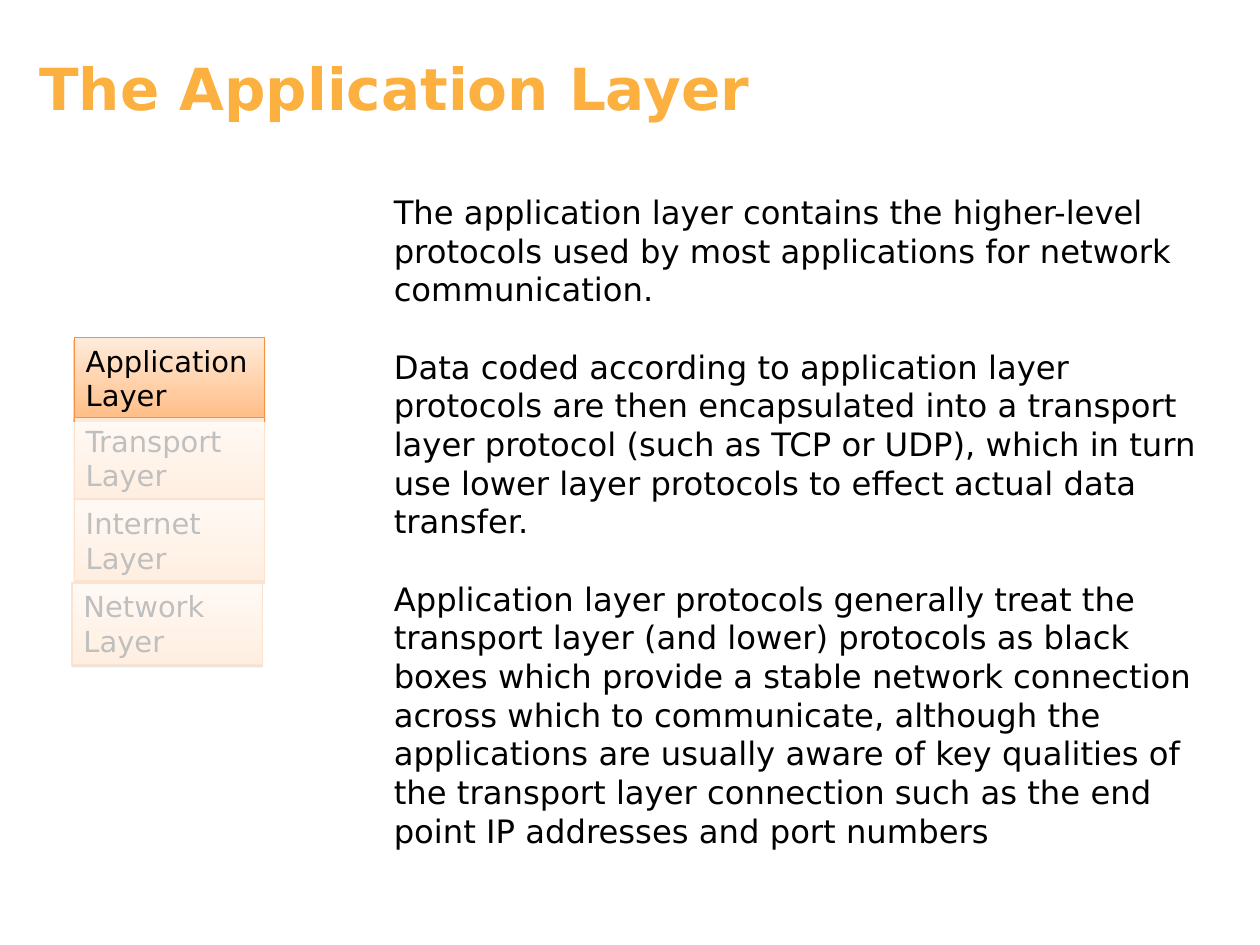
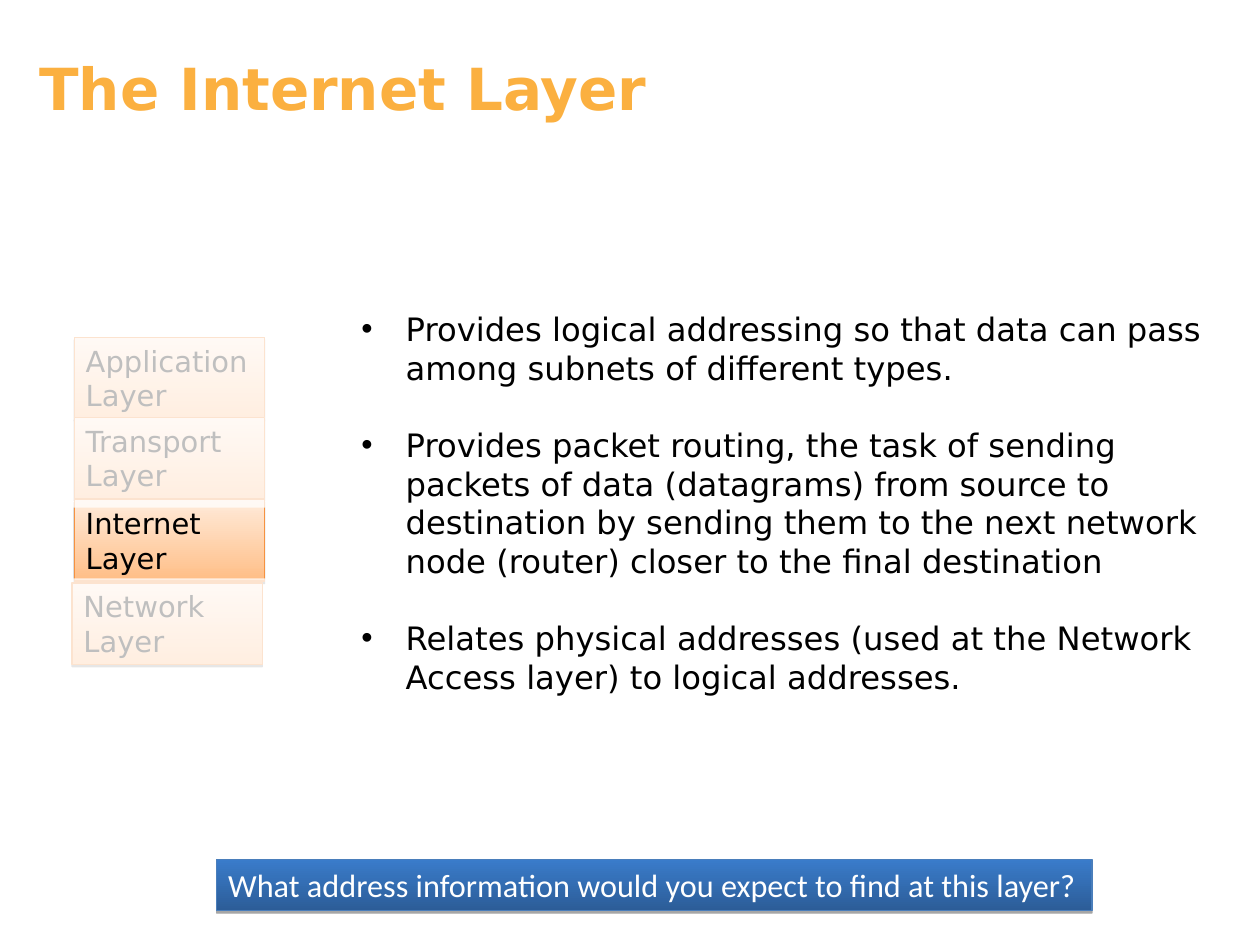
from lxml import etree
from pptx import Presentation
from pptx.dml.color import RGBColor
from pptx.enum.shapes import MSO_SHAPE as Shape
from pptx.enum.text import MSO_ANCHOR as Anchor, MSO_AUTO_SIZE as AutoSize, PP_ALIGN as Align
from pptx.oxml.ns import qn
from pptx.util import Cm, Pt

SANS = "DejaVu Sans"
TITLE_FONT = dict(name=SANS, size=Pt(36), bold=True, color="FBB040")
BODY_FONT = dict(name=SANS, size=Pt(20), color="000000")
LAYER_FONT = dict(name=SANS, size=Pt(18), color="000000")
QUESTION_FONT = dict(name="Calibri", size=Pt(20), color="FFFFFF")

TITLE_BOX = (0.61, 1.02, 22.58, 2.08)
STACK_BOX = (1.63, 7.39, 4.17, 1.78)
QUESTION_BOX = (4.75, 18.82, 19.18, 1.12)
PARAGRAPH_GAP = Pt(24)
BULLET_INDENT = Cm(0.97)

# Layer name with its offset from the corner of the stack
LAYERS = [
    ("Application Layer", 0, 0),
    ("Transport Layer", 0, 1.75),
    ("Internet Layer", 0, 3.56),
    ("Network Layer", -0.05, 5.38),
]


def rgb(value):
    return RGBColor.from_string(value)


def cm_box(box):
    return [Cm(length) for length in box]


def add_xml(parent, tag, **attributes):
    values = {key: str(value) for key, value in attributes.items()}
    return etree.SubElement(parent, qn(tag), values)


def format_font(paragraph, font):
    for key, value in font.items():
        if key == "color":
            paragraph.font.color.rgb = rgb(value)
        else:
            setattr(paragraph.font, key, value)


def add_bullet(paragraph):
    properties = paragraph._p.get_or_add_pPr()
    properties.set("marL", str(BULLET_INDENT))
    properties.set("indent", str(-BULLET_INDENT))
    add_xml(add_xml(properties, "a:buClr"), "a:srgbClr", val="000000")
    add_xml(properties, "a:buFont", typeface="Arial")
    add_xml(properties, "a:buChar", char="•")


def write(frame, paragraphs, font, anchor=Anchor.TOP, wrap=True,
          auto_size=AutoSize.SHAPE_TO_FIT_TEXT, bullets=False):
    frame.word_wrap = wrap
    frame.auto_size = auto_size
    frame.vertical_anchor = anchor
    for index, text in enumerate(paragraphs):
        paragraph = frame.add_paragraph() if index else frame.paragraphs[0]
        paragraph.text = text
        paragraph.alignment = Align.LEFT
        if index:
            paragraph.space_before = PARAGRAPH_GAP
        if bullets:
            add_bullet(paragraph)
        format_font(paragraph, font)


def add_glossy_box(slide, box, bottom, top, outline, shadow_distance, shadow_alpha):
    """Add a rectangle with a vertical gradient and a hard shadow below it."""
    shape = slide.shapes.add_shape(Shape.RECTANGLE, *cm_box(box))
    shape.fill.gradient()
    shape.fill.gradient_angle = 90
    for stop, position, color in zip(shape.fill.gradient_stops, (0, 1), (bottom, top)):
        stop.position = position
        stop.color.rgb = rgb(color)
    shape.line.color.rgb = rgb(outline)
    shape.line.width = Pt(0.75)
    shape.shadow.inherit = False
    effects = shape._element.spPr.find(qn("a:effectLst"))
    shadow = add_xml(effects, "a:outerShdw", blurRad=0, dist=Pt(shadow_distance),
                     dir=5400000, rotWithShape=0)
    color = add_xml(shadow, "a:srgbClr", val="000000")
    add_xml(color, "a:alpha", val=shadow_alpha * 1000)
    return shape


def add_veil(slide, box):
    """Add a translucent white rectangle that dims what lies under it."""
    veil = slide.shapes.add_shape(Shape.RECTANGLE, *cm_box(box))
    veil.fill.solid()
    veil.fill.fore_color.rgb = rgb("FFFFFF")
    add_xml(veil._element.spPr.find(".//" + qn("a:srgbClr")), "a:alpha", val=75000)
    veil.line.fill.background()
    veil.shadow.inherit = False


def add_layer_stack(slide, box, veils):
    left, top, width, height = box
    for name, dx, dy in LAYERS:
        layer = add_glossy_box(slide, (left + dx, top + dy, width, height),
                               "FFBE86", "FFEBDB", "F69240", 1.6, 38)
        write(layer.text_frame, [name], LAYER_FONT, Anchor.MIDDLE)
    for dx, dy, veil_width, veil_height in veils:
        add_veil(slide, (left + dx, top + dy, veil_width, veil_height))


def add_question(slide, box, text):
    bar = add_glossy_box(slide, box, "2C5D98", "3A7CCB", "4A7EBB", 1.8, 35)
    write(bar.text_frame, [text], QUESTION_FONT, wrap=False)


def add_layer_slide(prs, title, body_box, paragraphs, veils, bullets=False):
    slide = prs.slides.add_slide(prs.slide_layouts[5])
    heading = slide.shapes.title
    heading.left, heading.top, heading.width, heading.height = cm_box(TITLE_BOX)
    write(heading.text_frame, [title], TITLE_FONT, auto_size=AutoSize.NONE)
    add_layer_stack(slide, STACK_BOX, veils)
    body = slide.shapes.add_textbox(*cm_box(body_box))
    write(body.text_frame, paragraphs, BODY_FONT, bullets=bullets)
    return slide


def main():
    prs = Presentation()
    prs.slide_width, prs.slide_height = Cm(27.61), Cm(20.7)

    add_layer_slide(
        prs, "The Application Layer", (8.38, 4.09, 18.49, 13.82),
        [
            "The application layer contains the higher-level protocols used by most "
            "applications for network communication.",
            "Data coded according to application layer protocols are then encapsulated "
            "into a transport layer protocol (such as TCP or UDP), which in turn use "
            "lower layer protocols to effect actual data transfer.",
            "Application layer protocols generally treat the transport layer (and lower) "
            "protocols as black boxes which provide a stable network connection across "
            "which to communicate, although the applications are usually aware of key "
            "qualities of the transport layer connection such as the end point IP "
            "addresses and port numbers",
        ],
        veils=[(-0.36, 1.86, 4.88, 5.66)],
    )

    internet = add_layer_slide(
        prs, "The Internet Layer", (7.67, 6.65, 19.2, 8.74),
        [
            "Provides logical addressing so that data can pass among subnets of "
            "different types.",
            "Provides packet routing, the task of sending packets of data (datagrams) "
            "from source to destination by sending them to the next network node "
            "(router) closer to the final destination",
            "Relates physical addresses (used at the Network Access layer) to logical "
            "addresses.",
        ],
        veils=[(-0.21, 5.28, 4.72, 1.98), (-0.06, -0.05, 4.6, 3.78)],
        bullets=True,
    )
    add_question(internet, QUESTION_BOX,
                 "What address information would you expect to find at this layer?")

    prs.save("out.pptx")


if __name__ == "__main__":
    main()
